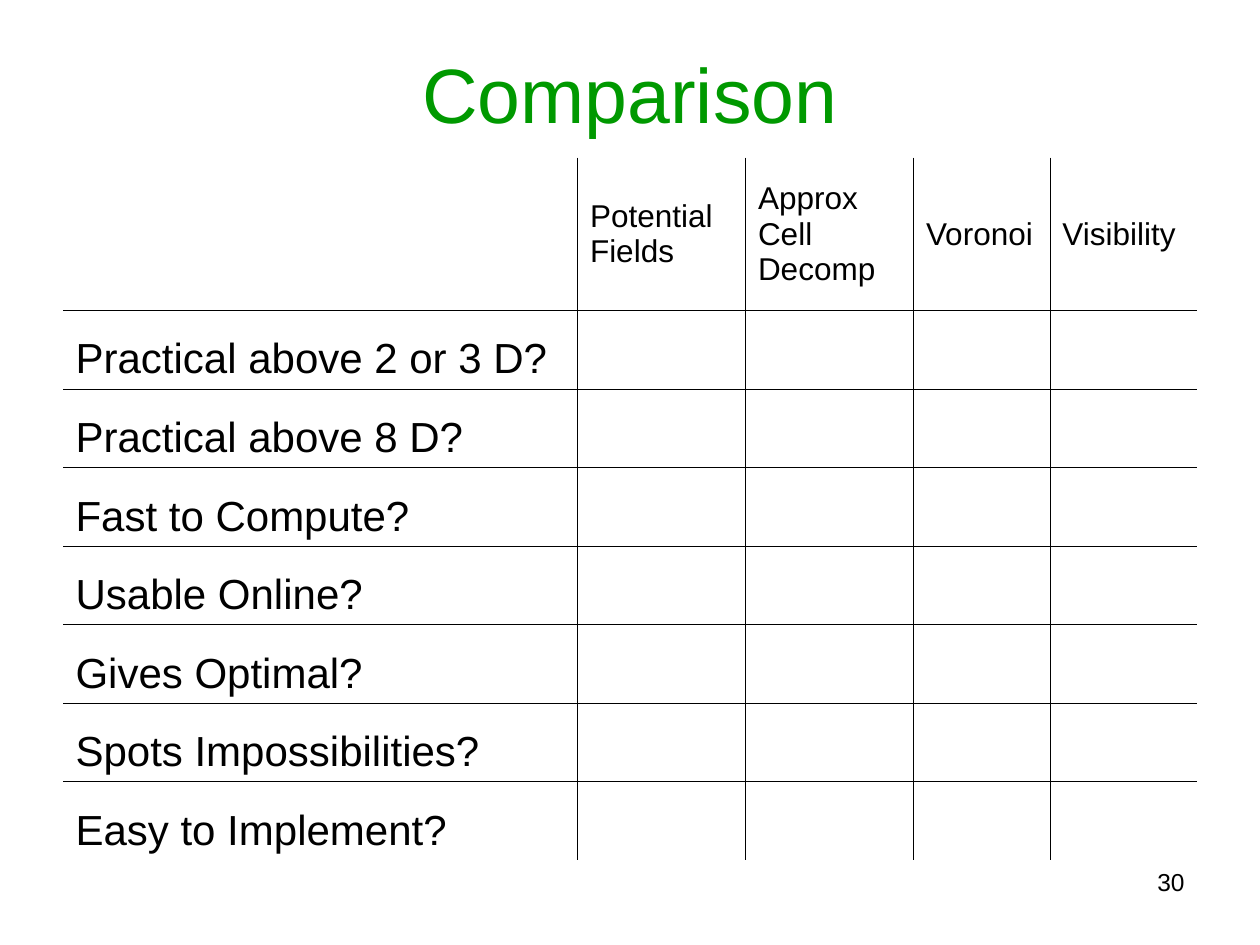
"""Build a slide with a blank comparison grid of motion planning methods."""
from dataclasses import dataclass

import lxml.etree
import pptx
import pptx.dml.color
import pptx.enum.text
import pptx.oxml.ns
import pptx.slide
import pptx.table
import pptx.text.text
import pptx.util

Pt = pptx.util.Pt
Align = pptx.enum.text.PP_ALIGN
Anchor = pptx.enum.text.MSO_ANCHOR


@dataclass(frozen=True)
class Theme:
    font: str = "Arial"
    title_color: str = "009900"
    ink: str = "000000"
    title_size: float = 44
    criterion_size: float = 24
    method_size: float = 18
    number_size: float = 14
    rule_width: float = 0.45


@dataclass(frozen=True)
class Label:
    text: str
    left: float
    top: float
    width: float
    height: float
    size: float
    color: str
    align: Align
    anchor: Anchor


@dataclass(frozen=True)
class Method:
    name: str
    width: float


THEME = Theme()
MARGIN = 36
TABLE_TOP = 90
CRITERION_WIDTH = 294
HEADER_HEIGHT = 87.5
ROW_HEIGHT = 44.9

METHODS = [
    Method("Potential Fields", 96),
    Method("Approx Cell Decomp", 96),
    Method("Voronoi", 78),
    Method("Visibility", 84),
]
CRITERIA = [
    "Practical above 2 or 3 D?",
    "Practical above 8 D?",
    "Fast to Compute?",
    "Usable Online?",
    "Gives Optimal?",
    "Spots Impossibilities?",
    "Easy to Implement?",
]
LABELS = [
    Label("Comparison", MARGIN, 21.6, 648, 62.64,
          THEME.title_size, THEME.title_color, Align.CENTER, Anchor.MIDDLE),
    Label("30", 348, 492, 336, 37.5,
          THEME.number_size, THEME.ink, Align.RIGHT, Anchor.TOP),
]


def add_run(para: pptx.text.text._Paragraph, text: str, size: float, color: str) -> None:
    span = para.add_run()
    span.text = text
    span.font.name = THEME.font
    span.font.size = Pt(size)
    span.font.color.rgb = pptx.dml.color.RGBColor.from_string(color)


def add_label(page: pptx.slide.Slide, label: Label) -> None:
    box = page.shapes.add_textbox(
        Pt(label.left), Pt(label.top), Pt(label.width), Pt(label.height))
    frame = box.text_frame
    frame.word_wrap = True
    frame.vertical_anchor = label.anchor
    para = frame.paragraphs[0]
    para.alignment = label.align
    add_run(para, label.text, label.size, label.color)


def fill_cell(cell: pptx.table._Cell, text: str, size: float,
              space_before: float, anchor: Anchor) -> None:
    cell.vertical_anchor = anchor
    para = cell.text_frame.paragraphs[0]
    para.space_before = Pt(space_before)
    add_run(para, text, size, THEME.ink)


def set_borders(cell: pptx.table._Cell, inner_sides: dict[str, bool]) -> None:
    qualified = pptx.oxml.ns.qn
    properties = cell._tc.get_or_add_tcPr()
    for position, (side, visible) in enumerate(inner_sides.items()):
        line = lxml.etree.Element(qualified(f"a:{side}"), w=str(Pt(THEME.rule_width)))
        if visible:
            fill = lxml.etree.SubElement(line, qualified("a:solidFill"))
            lxml.etree.SubElement(fill, qualified("a:srgbClr"), val=THEME.ink)
        else:
            lxml.etree.SubElement(line, qualified("a:noFill"))
        properties.insert(position, line)


def add_comparison(page: pptx.slide.Slide) -> None:
    widths = [CRITERION_WIDTH] + [method.width for method in METHODS]
    heights = [HEADER_HEIGHT] + [ROW_HEIGHT] * len(CRITERIA)
    grid = page.shapes.add_table(
        len(heights), len(widths), Pt(MARGIN), Pt(TABLE_TOP),
        Pt(sum(widths)), Pt(sum(heights))).table
    grid.first_row = False
    grid.horz_banding = False
    for column, width in zip(grid.columns, widths):
        column.width = Pt(width)
    for row, height in zip(grid.rows, heights):
        row.height = Pt(height)

    for index, method in enumerate(METHODS, start=1):
        fill_cell(grid.cell(0, index), method.name, THEME.method_size, 4.5, Anchor.MIDDLE)
    for index, criterion in enumerate(CRITERIA, start=1):
        fill_cell(grid.cell(index, 0), criterion, THEME.criterion_size, 6, Anchor.BOTTOM)

    for row_index in range(len(heights)):
        for column_index in range(len(widths)):
            cell = grid.cell(row_index, column_index)
            cell.fill.background()
            set_borders(cell, {
                "lnL": column_index > 0,
                "lnR": column_index < len(widths) - 1,
                "lnT": row_index > 0,
                "lnB": row_index < len(heights) - 1,
            })


def main() -> None:
    deck = pptx.Presentation()
    deck.slide_width, deck.slide_height = Pt(720), Pt(540)
    page = deck.slides.add_slide(deck.slide_layouts[6])
    add_comparison(page)
    for label in LABELS:
        add_label(page, label)
    deck.save("out.pptx")


if __name__ == "__main__":
    main()
